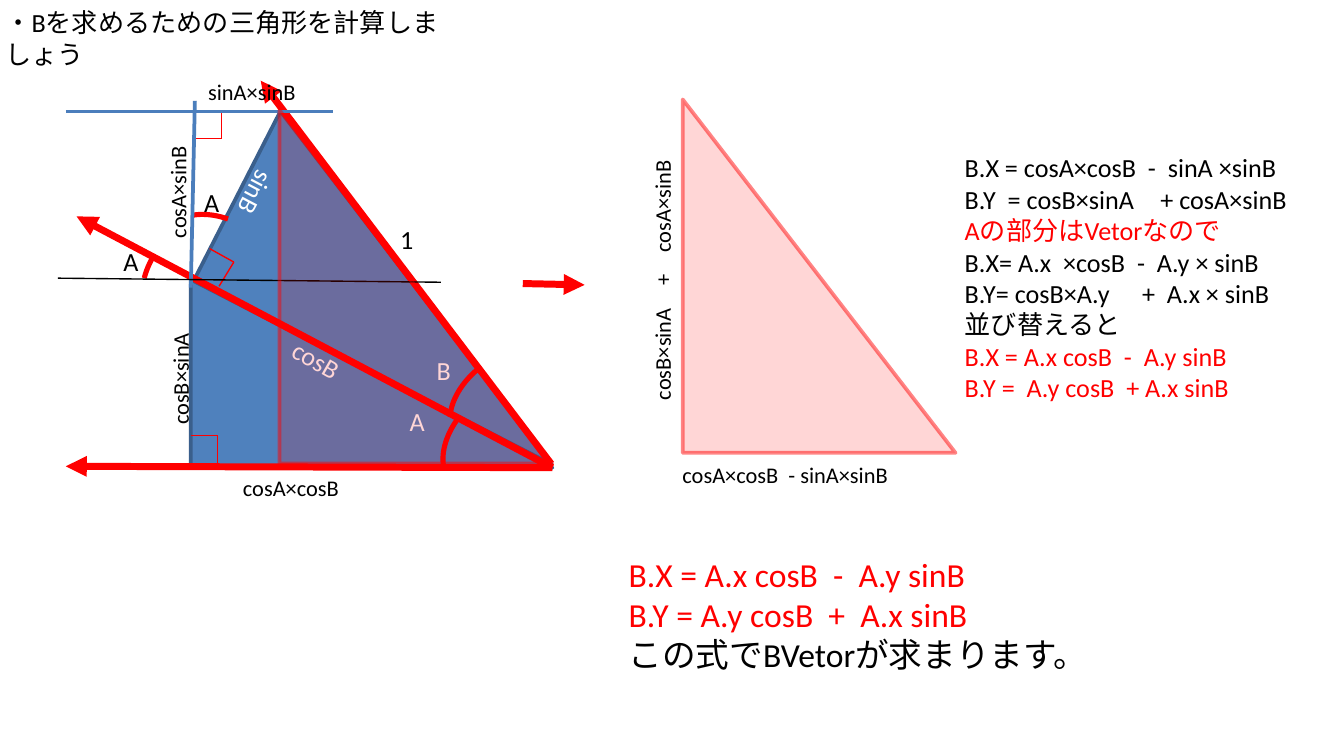
from dataclasses import dataclass

import lxml.etree
import pptx
import pptx.dml.color
import pptx.enum.shapes
import pptx.enum.text
import pptx.oxml.ns
import pptx.util

PX = 9144  # EMU per px, 100 px to the inch
FONT = "Calibri"
COLORS = {
    "red": "FF0000",
    "black": "000000",
    "white": "FFFFFF",
    "fill": "4F81BD",
    "edge": "3A5F8C",
    "guide": "4B7EBC",
}
SHAPES = pptx.enum.shapes.MSO_SHAPE


@dataclass
class Triangle:
    box: tuple[int, int, int, int]
    fill: str
    edge: str
    rotation: float = 0
    fill_alpha: int = 100
    edge_alpha: int = 100


@dataclass
class Arc:
    box: tuple[int, int, int, int]
    rotation: float
    start: float
    end: float


@dataclass
class Line:
    start: tuple[int, int]
    end: tuple[int, int]
    color: str = "red"
    width: float = 0.75
    arrow: bool = False


@dataclass
class Label:
    box: tuple[int, int, int, int]
    lines: list[tuple[str, str]]  # text and colour of each paragraph
    size: int = 14
    rotation: float = 0
    wrap: bool = False


def emu(*lengths: int) -> list[int]:
    return [length * PX for length in lengths]


def rgb(name: str) -> pptx.dml.color.RGBColor:
    return pptx.dml.color.RGBColor.from_string(COLORS[name])


def add_xml(parent, tag: str, **attributes: str) -> None:
    lxml.etree.SubElement(parent, pptx.oxml.ns.qn(tag), **attributes)


def set_alpha(fill_format, percent: int) -> None:
    if percent < 100:
        color = fill_format._xPr.find(".//" + pptx.oxml.ns.qn("a:srgbClr"))
        add_xml(color, "a:alpha", val=str(percent * 1000))


def draw_triangle(slide, triangle: Triangle) -> None:
    shape = slide.shapes.add_shape(SHAPES.RIGHT_TRIANGLE, *emu(*triangle.box))
    shape.shadow.inherit = False
    shape.rotation = triangle.rotation
    shape.fill.solid()
    shape.fill.fore_color.rgb = rgb(triangle.fill)
    set_alpha(shape.fill, triangle.fill_alpha)
    shape.line.color.rgb = rgb(triangle.edge)
    shape.line.width = pptx.util.Pt(2)
    set_alpha(shape.line.fill, triangle.edge_alpha)


def draw_arc(slide, arc: Arc) -> None:
    shape = slide.shapes.add_shape(SHAPES.ARC, *emu(*arc.box))
    shape.shadow.inherit = False
    shape.rotation = arc.rotation
    shape.adjustments[0] = arc.start
    shape.adjustments[1] = arc.end
    shape.fill.background()
    shape.line.color.rgb = rgb("red")
    shape.line.width = pptx.util.Pt(2.75)


def draw_line(slide, line: Line) -> None:
    connector = slide.shapes.add_connector(
        pptx.enum.shapes.MSO_CONNECTOR.STRAIGHT, *emu(*line.start, *line.end))
    connector.line.color.rgb = rgb(line.color)
    connector.line.width = pptx.util.Pt(line.width)
    if line.arrow:
        add_xml(connector.line._get_or_add_ln(), "a:tailEnd", type="triangle")
    add_xml(connector._element.spPr, "a:effectLst")


def write_run(paragraph, text: str, color: str, size: int) -> None:
    run = paragraph.add_run()
    run.text = text
    run.font.name = FONT
    run.font.size = pptx.util.Pt(size)
    run.font.color.rgb = rgb(color)


def draw_label(slide, label: Label) -> None:
    shape = slide.shapes.add_textbox(*emu(*label.box))
    shape.rotation = label.rotation
    frame = shape.text_frame
    frame.word_wrap = label.wrap
    frame.auto_size = pptx.enum.text.MSO_AUTO_SIZE.SHAPE_TO_FIT_TEXT
    for index, (text, color) in enumerate(label.lines):
        paragraph = frame.add_paragraph() if index else frame.paragraphs[0]
        write_run(paragraph, text, color, label.size)


def draw_title(slide, text: str) -> None:
    title = slide.shapes.title
    title.left, title.top, title.width, title.height = emu(-6, 0, 361, 34)
    frame = title.text_frame
    frame.word_wrap = True
    frame.auto_size = pptx.enum.text.MSO_AUTO_SIZE.NONE
    frame.vertical_anchor = pptx.enum.text.MSO_ANCHOR.TOP
    paragraph = frame.paragraphs[0]
    paragraph.alignment = pptx.enum.text.PP_ALIGN.LEFT
    write_run(paragraph, text, "black", 14)


# Triangles built from the sides of A and B, and the translucent result
SIDE_TRIANGLES = [
    Triangle((142, 206, 269, 142), "fill", "edge"),
    Triangle((160, 143, 299, 142), "fill", "edge", 27.1),
]
RESULT_TRIANGLES = [
    Triangle((left, top, 203, 263), "red", "red", fill_alpha=16, edge_alpha=48)
    for left, top in [(508, 74), (208, 82)]
]
ANGLE_ARCS = [
    Arc((336, 285, 55, 84), 218.5, 173.34, 0),
    Arc((346, 251, 55, 89), 230.6, 173.34, 215.77),
    Arc((139, 147, 55, 89), 297.8, 176.89, 203.13),
    Arc((114, 155, 55, 89), 219.7, 184.84, 203.13),
]
# Each right-angle mark is two strokes through three points
RIGHT_ANGLES = [
    [(165, 83), (165, 103), (146, 103)],
    [(142, 324), (162, 324), (162, 345)],
    [(156, 185), (174, 195), (163, 213)],
]
RIGHT_ANGLE_LINES = [
    Line(start, end) for mark in RIGHT_ANGLES for start, end in zip(mark, mark[1:])
]
VECTORS = [
    Line(start, end, width=3.75, arrow=True) for start, end in [
        ((411, 348), (57, 161)), ((411, 348), (49, 347)),
        ((410, 345), (194, 60)), ((389, 211), (435, 212))]
]
GUIDES = [
    Line((142, 214), (145, 75), "guide", 2),
    Line((49, 83), (248, 83), "guide", 2),
    Line((43, 207), (328, 210), "black"),
]
LABELS = [
    Label((315, 259, 41, 45), [("B", "white")]),
    Label((288, 161, 40, 45), [("1", "black")]),
    Label((207, 251, 57, 34), [("cosB", "white")], rotation=29.9),
    Label((163, 127, 54, 34), [("sinB", "white")], rotation=117.8),
    Label((295, 297, 42, 45), [("A", "white")]),
    Label((142, 134, 32, 34), [("A", "black")]),
    Label((82, 178, 21, 34), [("A", "black")], wrap=True),
    Label((171, 348, 117, 30), [("cosA×cosB", "black")], 12, wrap=True),
    Label((85, 262, 98, 30), [("cosB×sinA", "black")], 12, 270),
    Label((83, 123, 98, 30), [("cosA×sinB", "black")], 12, 270),
    Label((145, 53, 95, 30), [("sinA×sinB", "black")], 12),
    Label((498, 338, 203, 50), [("cosA×cosB  - sinA×sinB　", "black")], 12),
    Label((385, 185, 215, 30), [("cosB×sinA　+　cosA×sinB", "black")], 12, 270, True),
    Label((708, 108, 293, 229), [
        ("B.X = cosA×cosB  -  sinA ×sinB 　", "black"),
        ("B.Y  = cosB×sinA　+ cosA×sinB", "black"),
        ("Aの部分はVetorなので", "red"),
        ("B.X= A.x  ×cosB  -  A.y × sinB", "black"),
        ("B.Y= cosB×A.y　 +  A.x × sinB", "black"),
        ("並び替えると", "black"),
        ("B.X = A.x cosB  -  A.y sinB", "red"),
        ("B.Y =  A.y cosB  + A.x sinB", "red")]),
    Label((458, 407, 496, 101), [
        ("B.X = A.x cosB  -  A.y sinB", "red"),
        ("B.Y = A.y cosB  +  A.x sinB", "red"),
        ("この式でBVetorが求まります。", "black")], 18, wrap=True),
]


def main() -> None:
    presentation = pptx.Presentation()
    presentation.slide_width = 1000 * PX
    presentation.slide_height = presentation.slide_width * 9 // 16
    slide = presentation.slides.add_slide(presentation.slide_layouts[5])
    draw_title(slide, "・Bを求めるための三角形を計算しましょう")
    # Back to front: the translucent triangles tint the labels below them
    layers = [
        (draw_triangle, SIDE_TRIANGLES),
        (draw_arc, ANGLE_ARCS),
        (draw_line, RIGHT_ANGLE_LINES + VECTORS + GUIDES),
        (draw_label, LABELS),
        (draw_triangle, RESULT_TRIANGLES),
    ]
    for draw, items in layers:
        for item in items:
            draw(slide, item)
    presentation.save("out.pptx")


if __name__ == "__main__":
    main()
